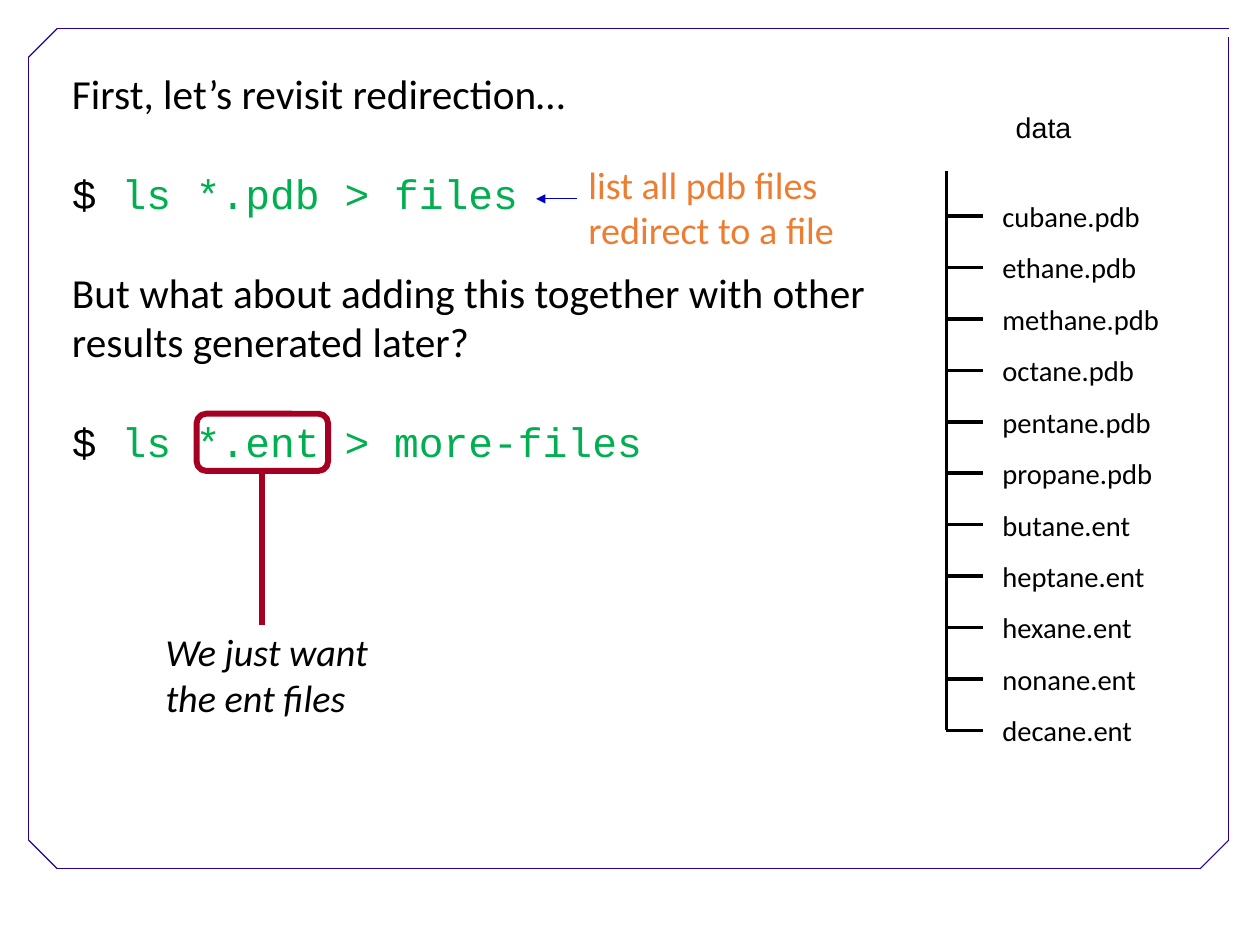
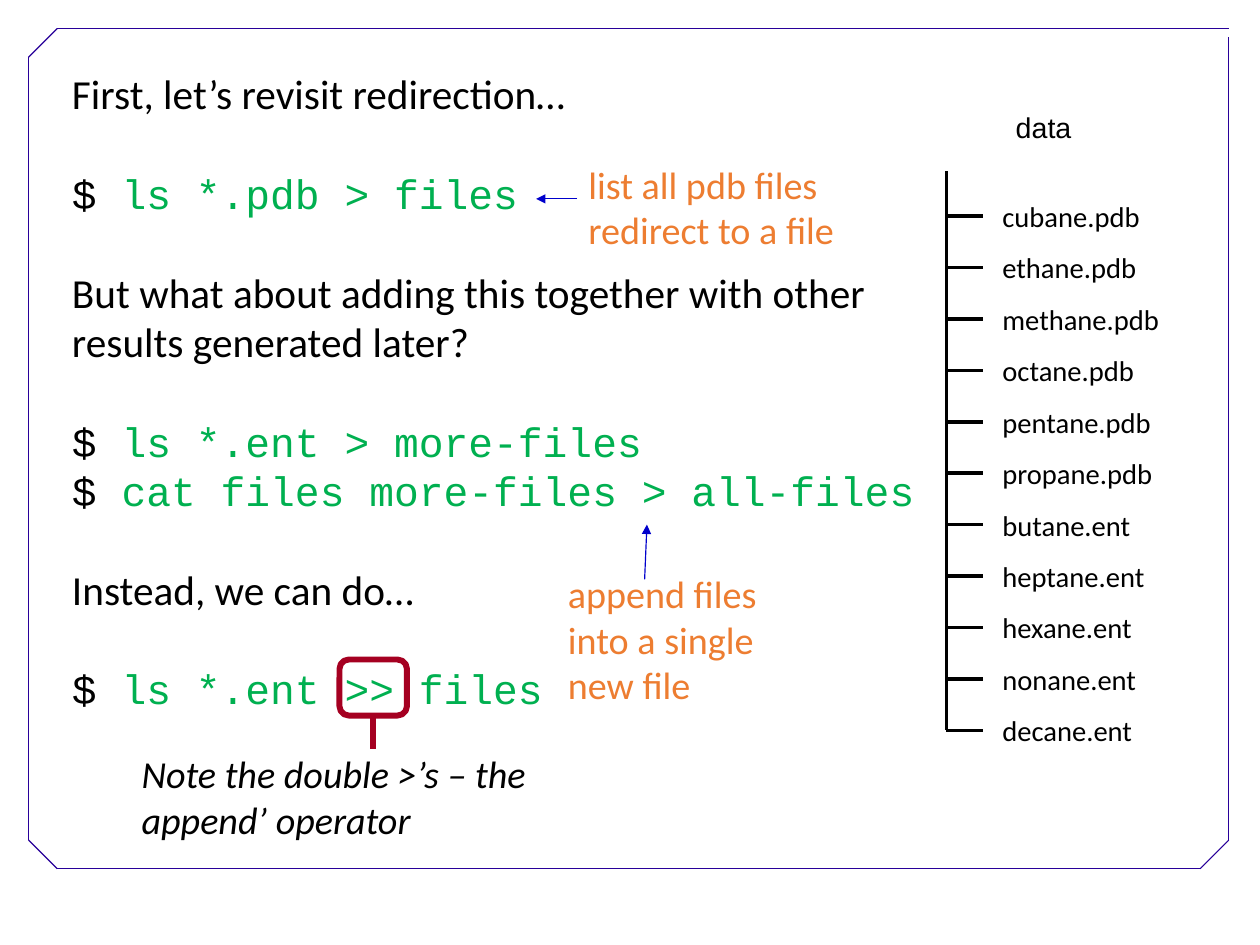
from dataclasses import dataclass

from lxml.etree import SubElement
from pptx import Presentation
from pptx.dml.color import RGBColor
from pptx.enum.shapes import MSO_CONNECTOR as Connector, MSO_SHAPE as Preset
from pptx.enum.text import MSO_ANCHOR as Anchor, MSO_AUTO_SIZE as AutoSize, PP_ALIGN as Align
from pptx.oxml.ns import qn
from pptx.util import Cm, Emu, Pt

PX = 9144


@dataclass(frozen=True)
class Theme:
    """Colours, fonts, type sizes, line pitches and line widths of the deck."""
    ink: str = "000000"
    command: str = "00B050"
    comment: str = "ED7D31"
    arrow: str = "0000CC"
    accent: str = "A50021"
    border: str = "280099"
    prose_font: str = "Calibri"
    code_font: str = "Courier New"
    label_font: str = "Arial"
    main_size: int = 26
    note_size: int = 24
    file_size: int = 18
    main_pitch: float = 31.2
    file_pitch: float = 32.4
    thin: float = 0.75
    medium: float = 2.25
    thick: float = 3.75


THEME = Theme()


@dataclass(frozen=True)
class Box:
    """A rectangle in px."""
    left: int
    top: int
    width: int
    height: int

    def inner(self, left, top, width, height):
        """Return a box placed relative to this one."""
        return Box(self.left + left, self.top + top, width, height)

    def emu(self):
        """Return left, top, width and height in EMU."""
        return [Emu(side * PX) for side in (self.left, self.top, self.width, self.height)]


FRAME = Box(25, 25, 1050, 735)
MAIN = Box(53, 55, 773, 660)
TREE = Box(828, 93, 219, 580)
LIST_COMMENT = Box(469, 136, 296, 94)
APPEND_COMMENT = Box(487, 459, 202, 161)

TITLE = "First, let’s revisit redirection…"
FILES = ["cubane.pdb", "ethane.pdb", "methane.pdb", "octane.pdb", "pentane.pdb",
         "propane.pdb", "butane.ent", "heptane.ent", "hexane.ent", "nonane.ent",
         "decane.ent"]
QUESTION = [
    ["$ ls *.pdb > files"],
    ["But what about adding this together with other results generated later?"],
    ["$ ls *.ent > more-files"],
]
ANSWER = [
    *QUESTION[:2],
    [*QUESTION[2], "$ cat files more-files > all-files"],
    ["Instead, we can do…"],
    ["$ ls *.ent >> files"],
]


def add_span(para, text, *, size, font=THEME.prose_font, colour=THEME.ink, italic=False):
    """Add one formatted run to a paragraph."""
    span = para.add_run()
    span.text = text
    span.font.size = Pt(size)
    span.font.name = font
    span.font.color.rgb = RGBColor.from_string(colour)
    span.font.italic = italic


def write(holder, groups, *, spacing=1.0, gap=0, align=Align.LEFT, wrap=True, **style):
    """Fill a shape with groups of lines, with a gap between groups."""
    frame = holder.text_frame
    frame.word_wrap = wrap
    frame.auto_size = AutoSize.NONE
    frame.vertical_anchor = Anchor.TOP
    lines = [(line, gap if group and not row else 0)
             for group, members in enumerate(groups) for row, line in enumerate(members)]
    for index, (line, before) in enumerate(lines):
        para = frame.add_paragraph() if index else frame.paragraphs[0]
        properties = para._p.get_or_add_pPr()
        properties.set("marL", "0")
        properties.set("indent", "0")
        SubElement(properties, qn("a:buNone"))
        para.alignment = align
        para.line_spacing = spacing
        para.space_before = Pt(before)
        para.space_after = Pt(0)
        if line.startswith("$ "):
            code = {**style, "font": THEME.code_font}
            add_span(para, line[:2], **code)
            add_span(para, line[2:], **{**code, "colour": THEME.command})
        else:
            add_span(para, line, **style)


def add_text(page, box, lines, **style):
    """Add a text box holding one group of lines."""
    write(page.shapes.add_textbox(*box.emu()), [lines], **style)


def fill_placeholder(holder, box, groups, **style):
    """Move a placeholder to a box and fill it."""
    holder.left, holder.top, holder.width, holder.height = box.emu()
    write(holder, groups, **style)


def add_line(page, box, start, end, *, colour, weight, arrow=False):
    """Draw a line between two points relative to a box."""
    ends = [Emu((origin + offset) * PX) for point in (start, end)
            for origin, offset in zip((box.left, box.top), point)]
    line = page.shapes.add_connector(Connector.STRAIGHT, *ends)
    line.line.color.rgb = RGBColor.from_string(colour)
    line.line.width = Pt(weight)
    if arrow:
        SubElement(line.get_or_add_ln(), qn("a:tailEnd"), type="triangle")
    SubElement(line._element.spPr, qn("a:effectLst"))


def draw_frame(page, box):
    """Draw the border with three cut corners and an open top right."""
    cut, gap, right, bottom = 25, 7, box.width, box.height
    outline = [(right, 0), (cut, 0), (0, cut), (0, bottom - cut), (cut, bottom),
               (right - cut, bottom), (right, bottom - cut), (right, gap)]
    for start, end in zip(outline, outline[1:]):
        add_line(page, box, start, end, colour=THEME.border, weight=THEME.thin)


def draw_tree(page, box, holder):
    """Draw the data folder with one branch for each file."""
    pitch, first, branch = 45, 96, 32
    stroke = dict(colour=THEME.ink, weight=THEME.medium)
    ticks = [first + pitch * index for index in range(len(FILES))]
    add_line(page, box, (0, 57), (0, ticks[-1]), **stroke)
    for tick in ticks:
        add_line(page, box, (0, tick), (branch, tick), **stroke)
    add_text(page, box.inner(51, 1, 68, 38), ["data"], spacing=0.93, align=Align.CENTER,
             wrap=False, size=THEME.file_size, font=THEME.label_font)
    fill_placeholder(holder, box.inner(39, 61, box.width - 39, 510), [FILES],
                     spacing=Pt(THEME.file_pitch), size=THEME.file_size)


def draw_main(box, title, body, groups):
    """Place the opening line as title and the other groups below it."""
    style = dict(spacing=Pt(THEME.main_pitch), size=THEME.main_size)
    fill_placeholder(title, box.inner(0, 0, box.width, 53), [[TITLE]], **style)
    fill_placeholder(body, box.inner(0, 87, box.width, box.height - 87), groups,
                     gap=THEME.main_pitch, **style)


def draw_comment(page, box, text_at, lines, start, end):
    """Place an orange comment and its arrow inside a box."""
    left, top = text_at
    add_text(page, box.inner(left, top, box.width - left, box.height - top), lines,
             size=THEME.note_size, colour=THEME.comment)
    add_line(page, box, start, end, colour=THEME.arrow, weight=THEME.thin, arrow=True)


def draw_highlight(page, box, stem, note, text):
    """Ring a piece of code and lead a stem down to its note."""
    ring = page.shapes.add_shape(Preset.ROUNDED_RECTANGLE, *box.emu())
    ring.shadow.inherit = False
    ring.fill.background()
    ring.line.color.rgb = RGBColor.from_string(THEME.accent)
    ring.line.width = Pt(THEME.thick)
    middle = box.width // 2
    add_line(page, box, (middle, box.height), (middle, box.height + stem),
             colour=THEME.accent, weight=THEME.thick)
    add_text(page, box.inner(*note), [text], size=THEME.note_size, italic=True)


def add_page(deck, groups):
    """Add a slide with the frame, file tree, main text and first comment."""
    page = deck.slides.add_slide(deck.slide_layouts.get_by_name("Two Content"))
    title, body, files = page.placeholders
    draw_frame(page, FRAME)
    draw_tree(page, TREE, files)
    draw_main(MAIN, title, body, groups)
    draw_comment(page, LIST_COMMENT, (36, 0), ["list all pdb files", "redirect to a file"],
                 (36, 38), (0, 38))
    return page


def main():
    """Build and save the deck."""
    deck = Presentation()
    deck.slide_width, deck.slide_height = Cm(28), Cm(21)

    question = add_page(deck, QUESTION)
    draw_highlight(question, Box(172, 362, 115, 50), 135, (-37, 183, 217, 90),
                   "We just want the ent files")

    answer = add_page(deck, ANSWER)
    draw_highlight(answer, Box(297, 577, 59, 49), 29, (-183, 75, 450, 90),
                   "Note the double >’s – the append’ operator")
    draw_comment(answer, APPEND_COMMENT, (0, 35), ["append files into a single new file"],
                 (77, 48), (79, 0))

    deck.save("out.pptx")


if __name__ == "__main__":
    main()
